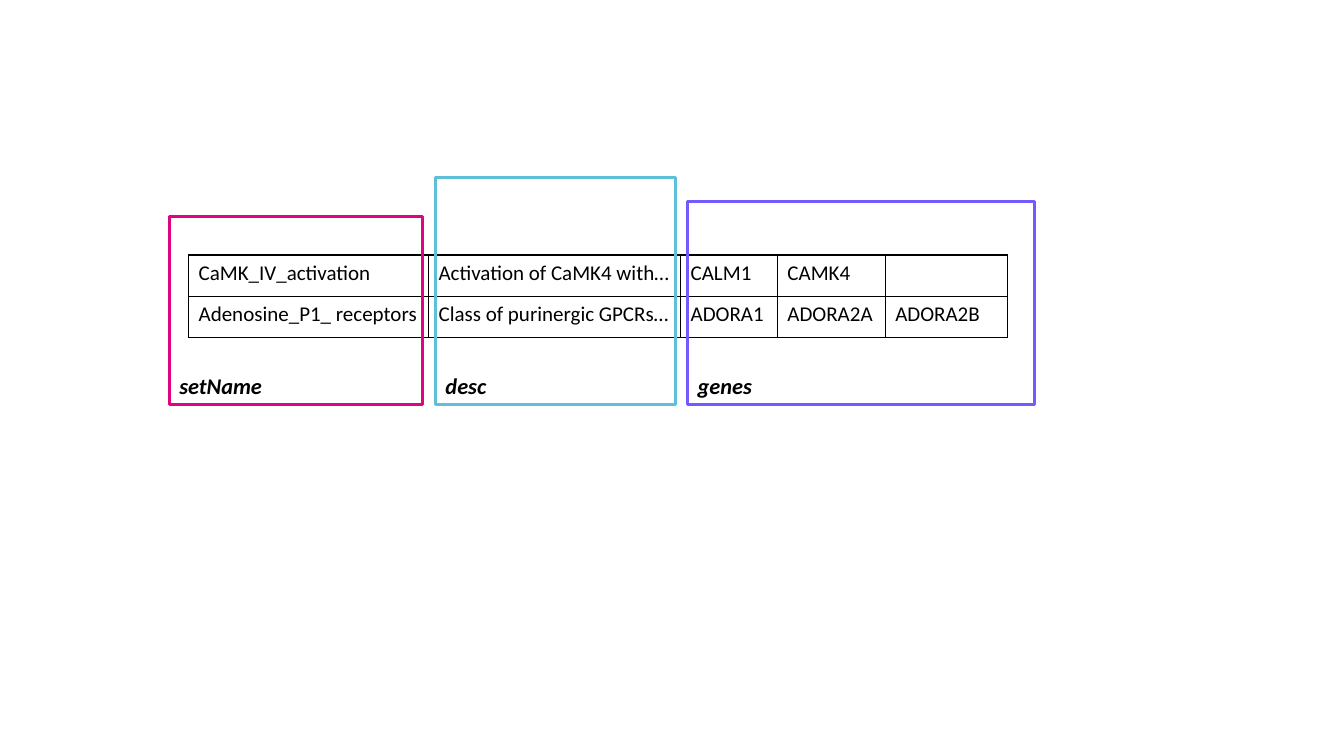
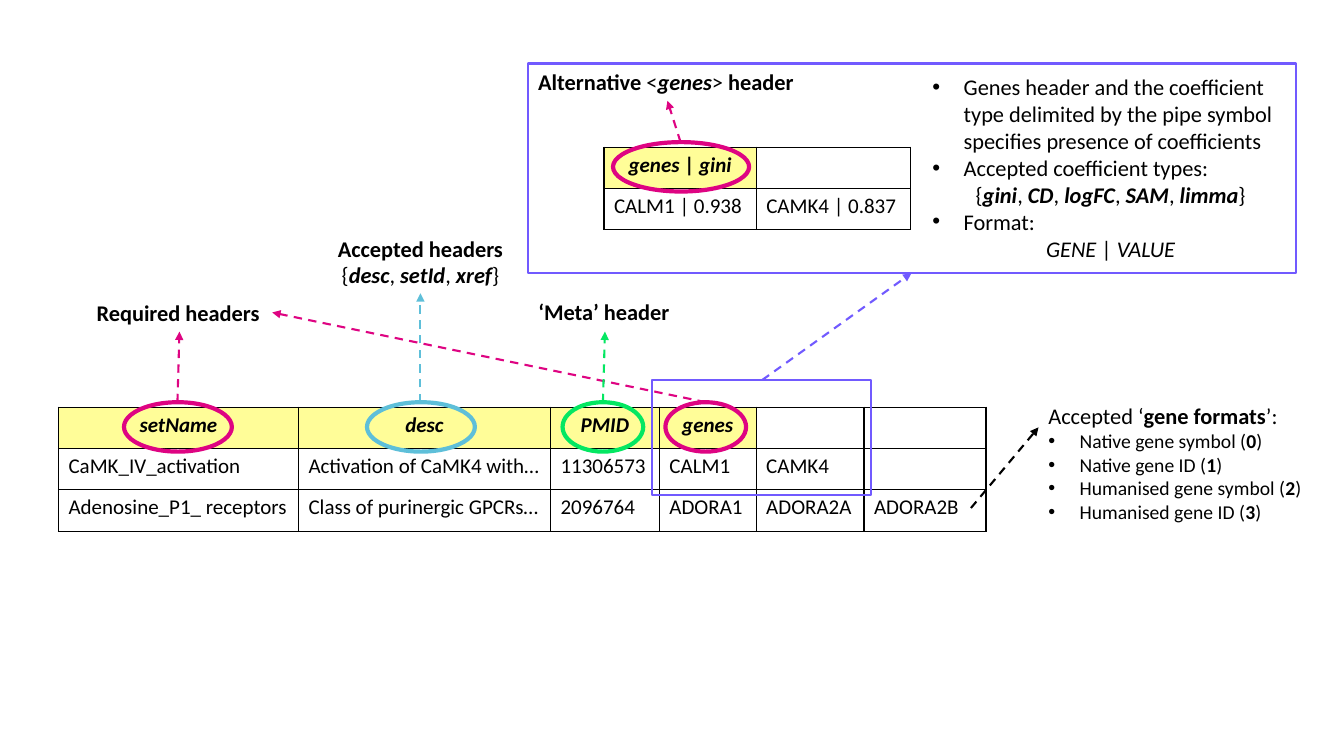
from dataclasses import dataclass

from lxml import etree
from pptx import Presentation
from pptx.dml.color import RGBColor
from pptx.enum import dml, shapes, text
from pptx.oxml import ns
from pptx.util import Inches, Pt

FONT = "Calibri"
BLACK = RGBColor(0x00, 0x00, 0x00)
PINK = RGBColor(0xDE, 0x04, 0x82)
BLUE = RGBColor(0x5E, 0xBF, 0xD9)
GREEN = RGBColor(0x04, 0xE7, 0x62)
VIOLET = RGBColor(0x71, 0x5A, 0xFF)
YELLOW = RGBColor(0xFF, 0xFD, 0x98)

RECT = shapes.MSO_SHAPE.RECTANGLE
OVAL = shapes.MSO_SHAPE.OVAL
CENTER = text.PP_ALIGN.CENTER
BULLET = "\u2022"
ROW_H = 0.41
LABEL_H = 0.37
OVAL_H = 0.49

SET_W, DESC_W, PMID_W = 2.38, 2.5, 1.08
GENE_WS = [0.96, 1.07, 1.21]
CAMK = ["CaMK_IV_activation", "Activation\u00a0of\u00a0CaMK4 with…", "CALM1", "CAMK4", ""]
ADENOSINE = ["Adenosine_P1_ receptors", "Class of purinergic GPCRs…",
             "ADORA1", "ADORA2A", "ADORA2B"]


@dataclass
class Frame:
    """An outlined column group with its caption."""
    caption: str
    left: float
    top: float
    width: float
    caption_w: float
    color: RGBColor


@dataclass
class Ring:
    """An ellipse around a header cell."""
    left: float
    top: float
    width: float
    color: RGBColor


@dataclass
class Label:
    """A text box; each line may carry markup or a bullet."""
    lines: list[str]
    left: float
    top: float
    width: float
    height: float = LABEL_H
    align: text.PP_ALIGN | None = None
    wrap: bool = False
    bullet_size: float = 16


@dataclass
class Arrow:
    """A dashed arrow between two points."""
    start: tuple[float, float]
    end: tuple[float, float]
    color: RGBColor


def write(p, marked: str, *, size: float = 16, align=None) -> None:
    """Fill a paragraph: *bold*, ~italic~, and a leading bullet sign."""
    if marked.startswith(BULLET):
        marked = marked[1:]
        pPr = p._p.get_or_add_pPr()
        pPr.set("marL", str(Inches(0.31)))
        pPr.set("indent", str(-Inches(0.31)))
        etree.SubElement(pPr, ns.qn("a:buFont"), typeface="Arial")
        etree.SubElement(pPr, ns.qn("a:buChar"), char=BULLET)
    if align is not None:
        p.alignment = align
    for i, part in enumerate(marked.split("*")):
        for j, piece in enumerate(part.split("~")):
            if piece:
                r = p.add_run()
                r.text = piece
                r.font.name, r.font.size = FONT, Pt(size)
                r.font.bold, r.font.italic = i % 2 == 1, j % 2 == 1
                r.font.color.rgb = BLACK


def add_label(s, label: Label) -> None:
    """Draw a text box."""
    box = s.shapes.add_textbox(*map(Inches, (label.left, label.top, label.width, label.height)))
    tf = box.text_frame
    tf.word_wrap = label.wrap
    for i, line in enumerate(label.lines):
        p = tf.add_paragraph() if i else tf.paragraphs[0]
        bulleted = line.startswith(BULLET)
        # In a wrapped list, lines without a bullet are centred.
        align = CENTER if label.wrap and not bulleted else label.align
        write(p, line, size=label.bullet_size if bulleted else 16, align=align)


def add_outline(s, kind, left: float, top: float, width: float, height: float,
                color: RGBColor, weight: float) -> None:
    """Draw an unfilled shape."""
    sp = s.shapes.add_shape(kind, *map(Inches, (left, top, width, height)))
    sp.shadow.inherit = False
    sp.fill.background()
    sp.line.color.rgb = color
    sp.line.width = Pt(weight)


def add_arrow(s, arrow: Arrow) -> None:
    """Draw a dashed line with an arrowhead at its end."""
    line = s.shapes.add_connector(shapes.MSO_CONNECTOR.STRAIGHT,
                                  *map(Inches, arrow.start + arrow.end))
    line.line.color.rgb = arrow.color
    line.line.width = Pt(1.5)
    line.line.dash_style = dml.MSO_LINE.DASH
    etree.SubElement(line.line._get_or_add_ln(), ns.qn("a:tailEnd"), type="triangle")
    etree.SubElement(line._element.spPr, ns.qn("a:effectLst"))


def add_borders(cell) -> None:
    """Give a cell thin black borders."""
    tcPr = cell._tc.get_or_add_tcPr()
    for side in ("lnL", "lnR", "lnT", "lnB"):
        ln = etree.SubElement(tcPr, ns.qn(f"a:{side}"), w=str(Pt(1)))
        fill = etree.SubElement(ln, ns.qn("a:solidFill"))
        etree.SubElement(fill, ns.qn("a:srgbClr"), val=str(BLACK))


def add_grid(s, left: float, top: float, widths: list[float],
             rows: list[list[str]], header: bool = False) -> None:
    """Draw a bordered table; named header cells are yellow and centred."""
    frame = s.shapes.add_table(len(rows), len(widths), Inches(left), Inches(top),
                               Inches(sum(widths)), Inches(ROW_H * len(rows)))
    table = frame.table
    table.first_row = table.horz_banding = False
    for column, width in zip(table.columns, widths):
        column.width = Inches(width)
    for i, row in enumerate(rows):
        for j, value in enumerate(row):
            cell = table.cell(i, j)
            named = header and i == 0 and value != ""
            add_borders(cell)
            if named:
                cell.fill.solid()
                cell.fill.fore_color.rgb = YELLOW
            else:
                cell.fill.background()
            write(cell.text_frame.paragraphs[0], value, size=15,
                  align=CENTER if named else None)


def build_columns(s) -> None:
    """Slide 1: the three column groups of a gene set table."""
    bottom = 4.01
    add_grid(s, 1.87, 2.53, [SET_W, DESC_W, *GENE_WS], [CAMK, ADENOSINE])
    for f in (Frame("setName", 1.68, 2.15, 2.51, 1.03, PINK),
              Frame("desc", 4.32, 1.76, 2.38, 0.61, BLUE),
              Frame("genes", 6.82, 2, 3.44, 0.75, VIOLET)):
        add_outline(s, RECT, f.left, f.top, f.width, bottom - f.top, f.color, 2.25)
        add_label(s, Label([f"*~{f.caption}~*"], f.left, bottom - LABEL_H, f.caption_w))


def build_headers(s) -> None:
    """Slide 2: header kinds, coefficients and gene formats."""
    header = [f"*~{name}~*" for name in ("setName", "desc", "PMID", "genes")] + ["", ""]
    body = [row[:2] + [pmid] + row[2:]
            for row, pmid in ((CAMK, "11306573"), (ADENOSINE, "2096764"))]
    add_grid(s, 0.58, 4.04, [SET_W, DESC_W, PMID_W, *GENE_WS], [header, *body], header=True)
    add_grid(s, 5.99, 1.46, [1.51, 1.53],
             [["*~genes ~| ~gini~*", ""], ["CALM1 | 0.938", "CAMK4 | 0.837"]], header=True)

    ring_top, gini_top = 3.99, 1.41
    for ring in (Ring(1.23, ring_top, 1.07, PINK), Ring(6.6, ring_top, 0.8, PINK),
                 Ring(5.58, ring_top, 0.8, GREEN), Ring(3.64, ring_top, 1.07, BLUE),
                 Ring(6.08, gini_top, 1.35, PINK)):
        add_outline(s, OVAL, ring.left, ring.top, ring.width, OVAL_H, ring.color, 3)

    add_outline(s, RECT, 6.47, 3.77, 2.17, 1.14, VIOLET, 1.5)
    add_outline(s, RECT, 5.24, 0.63, 7.61, 2.08, VIOLET, 1.5)

    for label in (
        Label(["*Required headers*"], 0.86, 2.92, 1.84),
        Label(["*Accepted headers*", "{*~desc~*, *~setId~*, *~xref~*}"],
              3.24, 2.28, 1.86, 0.64, align=CENTER),
        Label(["*‘Meta’ header*"], 5.24, 2.91, 1.52),
        Label(["*Alternative* <*~genes~*> *header*"], 5.24, 0.63, 2.77),
        Label([BULLET + "Genes header and the coefficient type delimited by the pipe "
               "symbol specifies presence of coefficients",
               BULLET + "Accepted coefficient types:",
               "{*~gini~*, *~CD~*, *~logFC~*, *~SAM~*, *~limma~*}",
               BULLET + "Format:",
               "~GENE~ | ~VALUE~"], 9.15, 0.68, 3.73, 1.99, wrap=True),
        Label(["Accepted ‘*gene formats*’:"]
              + [f"{BULLET}{name} (*{i}*)" for i, name in enumerate(
                  ("Native gene symbol", "Native gene ID",
                   "Humanised gene symbol", "Humanised gene ID"))],
              10.3, 3.94, 2.74, 1.31, bullet_size=14),
    ):
        add_label(s, label)

    for arrow in (Arrow((1.76, ring_top), (1.78, 3.29), PINK),
                  Arrow((7, ring_top), (2.7, 3.1), PINK),
                  Arrow((5.98, ring_top), (6, 3.29), GREEN),
                  Arrow((4.17, ring_top), (4.17, 2.91), BLUE),
                  Arrow((6.75, gini_top), (6.62, 1), PINK),
                  Arrow((7.56, 3.77), (9.04, 2.71), VIOLET),
                  Arrow((9.63, 5.04), (10.3, 4.24), BLACK)):
        add_arrow(s, arrow)


prs = Presentation()
prs.slide_width, prs.slide_height = Inches(13.33), Inches(7.5)
for build in (build_columns, build_headers):
    build(prs.slides.add_slide(prs.slide_layouts[6]))
prs.save("out.pptx")
